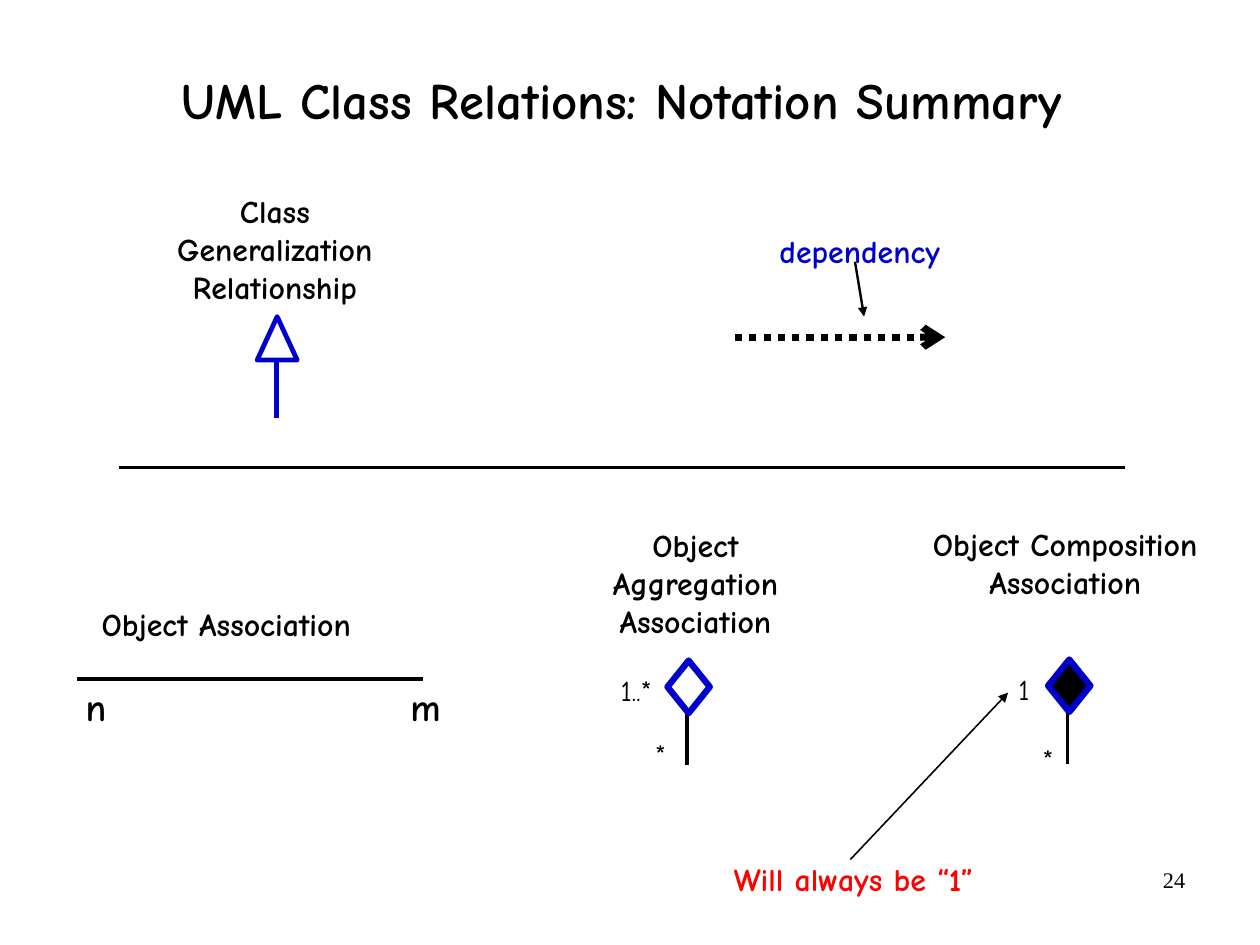
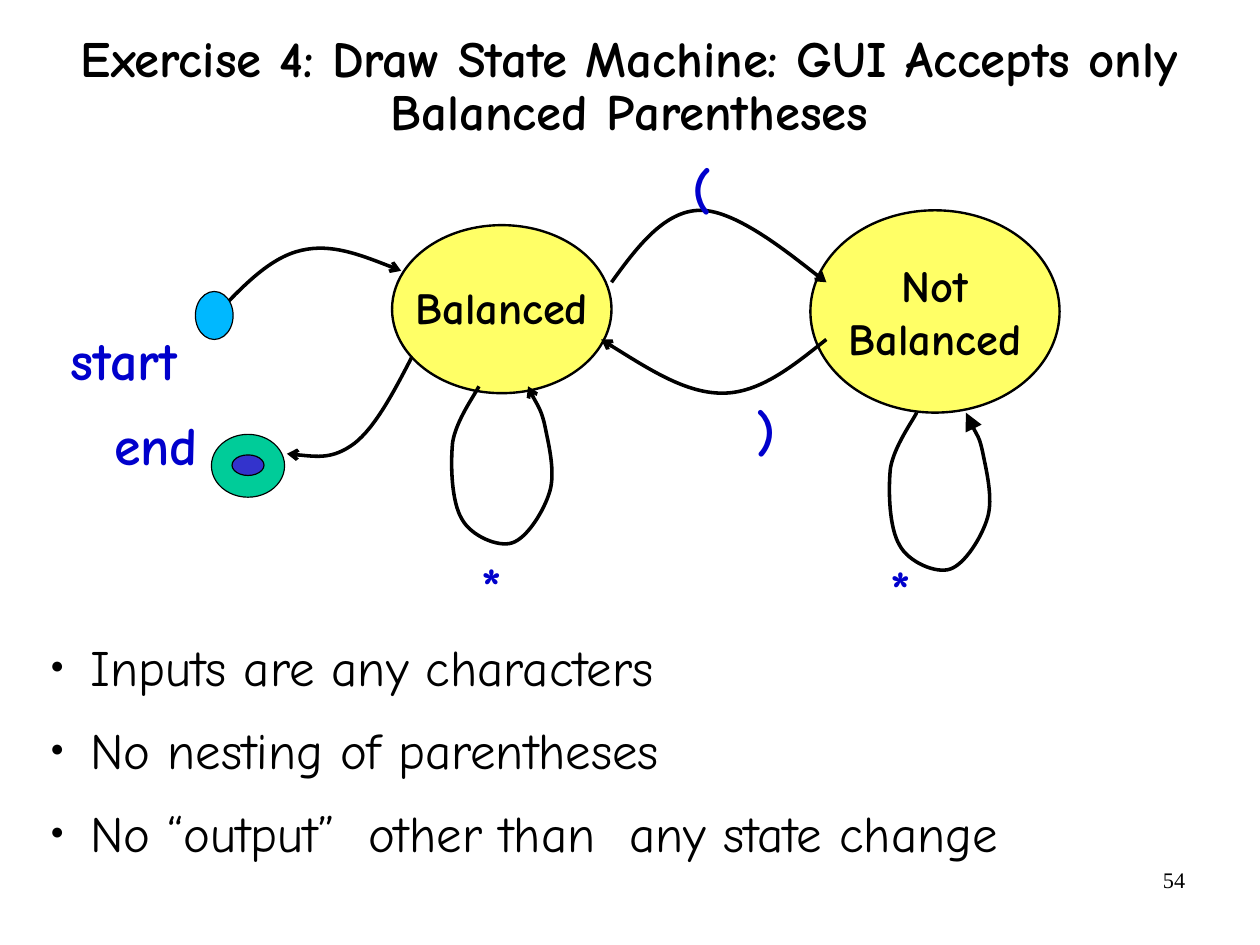
from dataclasses import dataclass

from lxml.etree import SubElement as Sub
from pptx import Presentation
from pptx.dml.color import RGBColor as RGB
from pptx.enum.dml import MSO_LINE as Dash
from pptx.enum.shapes import MSO_CONNECTOR as Conn, MSO_SHAPE as Kind
from pptx.enum.text import MSO_ANCHOR as Anchor, MSO_AUTO_SIZE as Auto, PP_ALIGN as Align
from pptx.oxml.ns import qn
from pptx.util import Cm, Inches, Pt

# Shared look
FONT, SERIF = "Comic Neue", "Times New Roman"
BLACK, WHITE, BLUE, RED, YELLOW = "000000", "FFFFFF", "0000CC", "FF0000", "FFFF66"
MID, LEFT, RIGHT = Align.CENTER, Align.LEFT, Align.RIGHT


@dataclass
class Label:
    text: str
    x: float
    y: float
    w: float
    h: float
    size: float = 20
    color: str = BLACK
    bold: bool = True
    align: Align = LEFT
    wrap: bool = False
    pad: float = 0.05
    font: str = FONT


@dataclass
class Node:
    kind: Kind
    x: float
    y: float
    w: float
    h: float
    fill: str = ""  # empty: neither fill nor line
    line: str = BLACK
    width: float = 1.5
    text: str = ""


@dataclass
class Line:
    start: tuple[float, float]
    end: tuple[float, float]
    width: float = 2
    color: str = BLACK
    head: str = ""
    dash: Dash | None = None


@dataclass
class Curve:
    points: list[tuple[float, float]]  # start, then three points per Bezier piece
    head: str = "arrow"
    size: str = "med"


@dataclass
class Whole:
    """A diamond-ended association: its place, fill, name and multiplicities."""
    x: float
    y: float
    fill: str
    name: Label
    ends: list[Label]


def paint(target, color: str) -> None:
    target.solid()
    target.fore_color.rgb = RGB.from_string(color)


def style(para, size: float, color: str, bold: bool, font: str = FONT) -> None:
    para.font.name, para.font.size, para.font.bold = font, Pt(size), bold
    para.font.color.rgb = RGB.from_string(color)


def frame(shape, pad: float, wrap: bool):
    body = shape.text_frame
    body.margin_left = body.margin_right = Inches(0.11)
    body.margin_top = body.margin_bottom = Inches(pad)
    body.word_wrap = wrap
    return body


def stroke(shape, color: str, width: float, head: str = "", dash: Dash | None = None,
           size: str = "med") -> None:
    paint(shape.line.fill, color)
    shape.line.width = Pt(width)
    if dash:
        shape.line.dash_style = dash
    if head:
        Sub(shape.line._get_or_add_ln(), qn("a:tailEnd"), type=head, w=size, len=size)


def write(slide, tag: Label):
    box = slide.shapes.add_textbox(*map(Inches, (tag.x, tag.y, tag.w, tag.h)))
    body = frame(box, tag.pad, tag.wrap)
    body.auto_size = Auto.NONE if tag.wrap else Auto.SHAPE_TO_FIT_TEXT
    body.text = tag.text
    for para in body.paragraphs:
        para.alignment = tag.align
        style(para, tag.size, tag.color, tag.bold, tag.font)
    return body


def draw(slide, node: Node) -> None:
    shape = slide.shapes.add_shape(node.kind, *map(Inches, (node.x, node.y, node.w, node.h)))
    shape.shadow.inherit = False
    if node.fill:
        paint(shape.fill, node.fill)
        stroke(shape, node.line, node.width)
    else:
        shape.fill.background()
        shape.line.fill.background()
    if node.text:
        body = frame(shape, 0.06, False)
        body.vertical_anchor = Anchor.MIDDLE
        body.text = node.text
        for para in body.paragraphs:
            para.alignment = MID
            style(para, 28, BLACK, True)


def join(slide, line: Line) -> None:
    conn = slide.shapes.add_connector(Conn.STRAIGHT, *map(Inches, line.start + line.end))
    stroke(conn, line.color, line.width, line.head, line.dash)
    Sub(conn._element.spPr, qn("a:effectLst"))


def bend(slide, curve: Curve) -> None:
    first, *rest = [(Inches(x), Inches(y)) for x, y in curve.points]
    pen = slide.shapes.build_freeform(*first)
    pen.add_line_segments(rest, close=False)
    shape = pen.convert_to_shape()
    shape.shadow.inherit = False
    shape.fill.background()
    # Turn each three straight steps into one Bezier piece
    path = next(shape._element.iter(qn("a:path")))
    steps = path.findall(qn("a:lnTo"))
    for i in range(0, len(steps), 3):
        piece = Sub(path, qn("a:cubicBezTo"))
        for step in steps[i:i + 3]:
            piece.append(step[0])
            path.remove(step)
    stroke(shape, BLACK, 2.25, curve.head, size=curve.size)


def whole(slide, part: Whole) -> None:
    mid = part.x + 0.17
    join(slide, Line((mid, part.y + 0.4), (mid, part.y + 0.91)))
    for tag in [part.name, *part.ends]:
        write(slide, tag)
    draw(slide, Node(Kind.DIAMOND, part.x, part.y, 0.37, 0.46, part.fill, BLUE, 4))


def page(deck, number: int):
    slide = deck.slides.add_slide(deck.slide_layouts[6])
    write(slide, Label(str(number), 7.91, 7.53, 2.57, 0.57, 14, bold=False, align=RIGHT,
                       wrap=True, font=SERIF))
    return slide


def title(slide, text: str, x: float, y: float, w: float, h: float):
    return write(slide, Label(text, x, y, w, h, 32, align=MID, wrap=True, pad=0.06))


def count(text: str, x: float, y: float, w: float) -> Label:
    return Label(text, x, y, w, 0.41, 18, bold=False)


def notation(deck) -> None:
    slide = page(deck, 24)
    title(slide, "UML Class Relations: Notation Summary", 0.28, 0.54, 10.32, 0.65)

    # Plain association
    join(slide, Line((0.67, 5.94), (3.7, 5.94)))
    for tag in (
        Label("Object Association", 0.78, 5.24, 2.76, 0.44),
        Label("n", 0.64, 5.93, 0.39, 0.51, 24),
        Label("m", 3.48, 5.93, 0.48, 0.51, 24),
    ):
        write(slide, tag)

    # Generalization
    write(slide, Label("Class\nGeneralization\nRelationship", 1.35, 1.63, 2.11, 1.11, align=MID))
    join(slide, Line((2.42, 2.77), (2.42, 3.66), 3, BLUE))
    draw(slide, Node(Kind.ISOSCELES_TRIANGLE, 2.25, 2.77, 0.35, 0.38, WHITE, BLUE, 3))

    # Aggregation and composition
    for part in (
        Whole(5.84, 5.78, WHITE,
              Label("Object\nAggregation\nAssociation", 5.18, 4.55, 1.81, 1.11, align=MID),
              [count("*", 5.62, 6.4, 0.35), count("1..*", 5.32, 5.84, 0.59)]),
        Whole(9.17, 5.77, BLACK,
              Label("Object Composition\nAssociation", 8.03, 4.54, 2.58, 1.11,
                    align=MID, wrap=True),
              [count("*", 9.01, 6.44, 0.35), count("1", 8.8, 5.83, 0.33)]),
    ):
        whole(slide, part)

    # Divider, remark and dependency
    write(slide, Label("Will always be “1”", 6.31, 7.46, 2.69, 0.44, color=RED, pad=0.06))
    write(slide, Label("dependency", 6.71, 1.97, 1.79, 0.44, color=BLUE, wrap=True, pad=0.06))
    for line in (
        Line((1.04, 4.09), (9.84, 4.09), 2.25),
        Line((7.44, 7.52), (8.82, 6.06), 1, head="triangle"),
        Line((6.43, 2.95), (8.27, 2.95), 4.5, head="arrow", dash=Dash.ROUND_DOT),
        Line((7.48, 2.29), (7.56, 2.77), 1.5, head="triangle"),
    ):
        join(slide, line)


def bullets(slide, lines: list[str]) -> None:
    body = write(slide, Label("\n".join(lines), 0.22, 5.5, 10.58, 2.17, 32, bold=False,
                              wrap=True, pad=0.06))
    for para in body.paragraphs:
        para.space_after = Pt(13.8)
        props = para._p.get_or_add_pPr()
        props.set("marL", str(Inches(0.46)))
        props.set("indent", str(Inches(-0.35)))
        font = props.find(qn("a:defRPr"))
        for name, value in (("buSzPct", {"val": "45000"}), ("buFont", {"typeface": SERIF}),
                            ("buChar", {"char": "●"})):
            font.addprevious(Sub(props, qn(f"a:{name}"), value))


def machine(deck) -> None:
    slide = page(deck, 54)
    head = title(slide, "Exercise 4: Draw State Machine: GUI Accepts only Balanced Parentheses",
                 0, 0.2, 11.02, 1.1)
    head.vertical_anchor = Anchor.BOTTOM
    head.paragraphs[0].line_spacing = 0.88
    bullets(slide, ["Inputs are any characters", "No nesting of parentheses",
                    "No “output”  other than  any state change"])

    # States
    for node in (
        Node(Kind.OVAL, 3.43, 1.97, 1.92, 1.47, YELLOW),
        Node(Kind.OVAL, 3.43, 1.97, 1.92, 1.42, text="Balanced"),
        Node(Kind.OVAL, 7.09, 1.84, 2.18, 1.77, YELLOW, text="Not\nBalanced"),
    ):
        draw(slide, node)

    # Transitions; both states share one self-loop outline
    loop = [(4.19, 3.38), (4.15, 3.46), (3.99, 3.68), (3.96, 3.87),
            (3.94, 4.07), (3.95, 4.39), (4.04, 4.54), (4.12, 4.69), (4.36, 4.79), (4.48, 4.75),
            (4.61, 4.71), (4.76, 4.47), (4.81, 4.3), (4.86, 4.13), (4.8, 3.89), (4.77, 3.74),
            (4.74, 3.59), (4.64, 3.44), (4.62, 3.38)]
    for curve in (
        Curve([(1.91, 2.73), (2.14, 2.49), (2.37, 2.25), (2.64, 2.19),
               (2.9, 2.13), (3.21, 2.25), (3.51, 2.37)]),
        Curve([(5.35, 2.47), (5.58, 2.15), (5.82, 1.84), (6.13, 1.84),
               (6.45, 1.84), (7.08, 2.36), (7.23, 2.47)]),
        Curve([(7.23, 2.97), (6.94, 3.2), (6.65, 3.44), (6.32, 3.44),
               (6, 3.44), (5.63, 3.2), (5.26, 2.97)]),
        Curve([(3.6, 3.13), (3.44, 3.44), (3.28, 3.74), (3.1, 3.88),
               (2.91, 4.02), (2.71, 3.99), (2.51, 3.97)]),
        Curve(loop),
        Curve([(x + 3.83, y + 0.23) for x, y in loop], "triangle", "lg"),
    ):
        bend(slide, curve)

    # Start and end marks
    for x, y, w, h, fill in (
        (1.71, 2.55, 0.33, 0.42, "00B8FF"),
        (1.85, 3.8, 0.64, 0.55, "00CC99"),
        (2.03, 3.98, 0.28, 0.18, "3333CC"),
    ):
        draw(slide, Node(Kind.OVAL, x, y, w, h, fill, width=0.75))

    # Inputs and names
    for text, x, y, w in (
        ("(", 5.95, 1.3, 0.73), (")", 6.51, 3.42, 0.73),
        ("*", 4.1, 4.77, 0.69), ("*", 7.68, 4.8, 0.69),
        ("start", 0.51, 2.8, 1.45), ("end", 0.89, 3.54, 1.45),
    ):
        write(slide, Label(text, x, y, w, 0.68, 34, BLUE, wrap=True, pad=0.06))


def main() -> None:
    deck = Presentation()
    deck.slide_width, deck.slide_height = Cm(28), Cm(21)
    notation(deck)
    machine(deck)
    deck.save("out.pptx")


if __name__ == "__main__":
    main()
